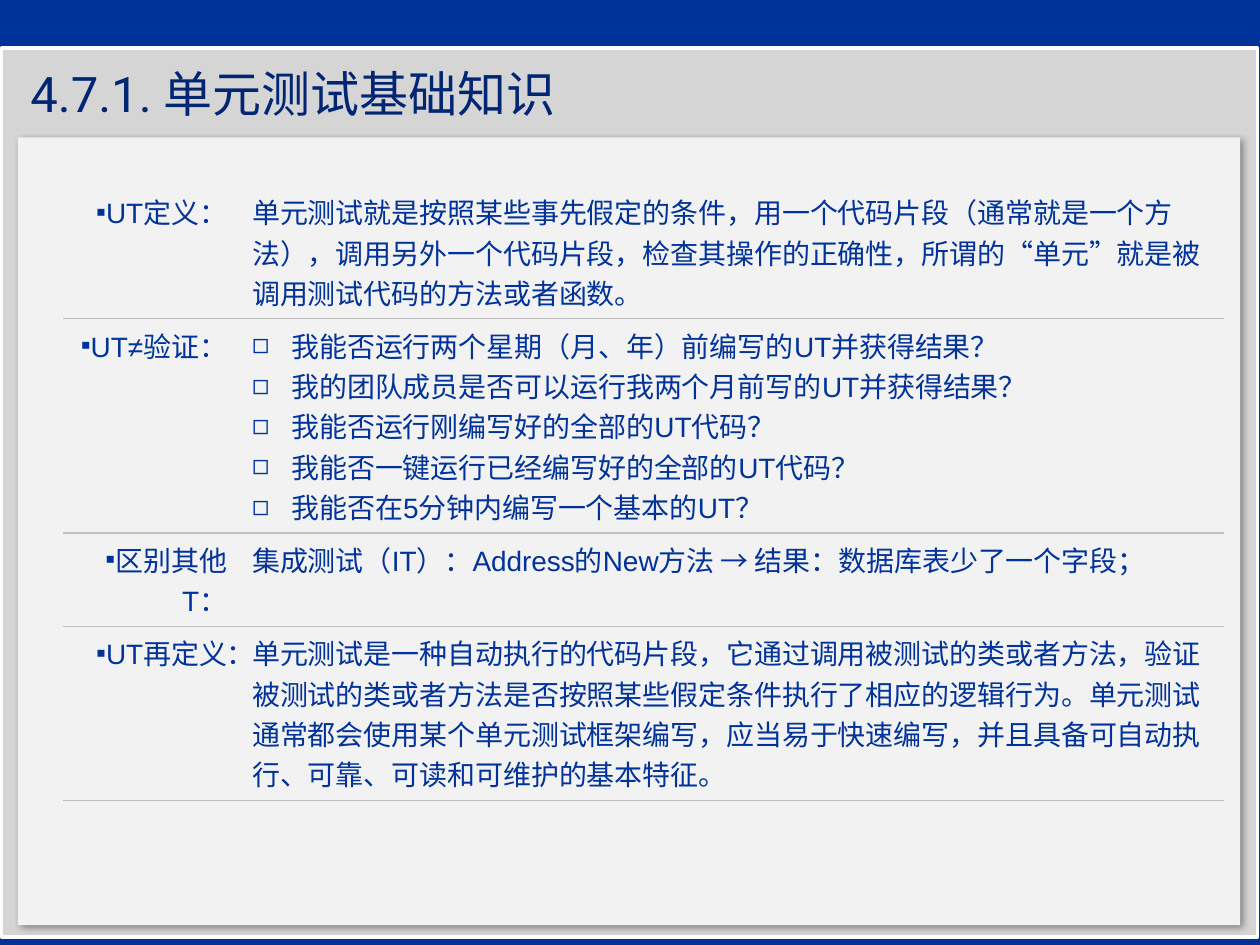
from lxml.etree import SubElement
from pptx import Presentation
from pptx.dml.color import RGBColor
from pptx.enum.shapes import MSO_SHAPE as Shape
from pptx.enum.text import MSO_ANCHOR as Anchor, MSO_AUTO_SIZE as AutoSize, PP_ALIGN as Align
from pptx.oxml import parse_xml
from pptx.oxml.ns import nsdecls, qn
from pptx.util import Cm, Pt

TITLE = "4.7.1. 单元测试基础知识"
TOPICS = [
    ("UT定义：", "单元测试就是按照某些事先假定的条件，用一个代码片段（通常就是一个方法），"
                 "调用另外一个代码片段，检查其操作的正确性，所谓的“单元”就是被调用测试代码的方法或者函数。"),
    ("UT≠验证：", [
        "我能否运行两个星期（月、年）前编写的UT并获得结果？",
        "我的团队成员是否可以运行我两个月前写的UT并获得结果？",
        "我能否运行刚编写好的全部的UT代码？",
        "我能否一键运行已经编写好的全部的UT代码？",
        "我能否在5分钟内编写一个基本的UT？",
    ]),
    ("区别其他T：", "集成测试（IT）：Address的New方法 → 结果：数据库表少了一个字段；"),
    ("UT再定义：", "单元测试是一种自动执行的代码片段，它通过调用被测试的类或者方法，"
                   "验证被测试的类或者方法是否按照某些假定条件执行了相应的逻辑行为。"
                   "单元测试通常都会使用某个单元测试框架编写，应当易于快速编写，"
                   "并且具备可自动执行、可靠、可读和可维护的基本特征。"),
]

THEME = {
    "blue": "003399", "title": "002673", "frame": "D5D5D5", "panel": "F2F2F2",
    "white": "FFFFFF", "rule": "BFBFBF", "shadow": "000000",
    "title_font": "Roboto", "body_font": "Arial",
    "title_size": Pt(28), "body_size": Pt(16), "frame_line": Pt(2), "rule_line": Pt(1),
}
NO_STYLE_TABLE = "{2D5ABB26-0587-4C30-8999-92F81FD0307C}"
COLUMN_WIDTHS = (Cm(3.56), Cm(19.85))
ROW_HEIGHT = Cm(1.04)
LIST_INDENT = Cm(0.79)


def colour(name):
    return RGBColor.from_string(THEME[name])


def add_panel(slide, box, fill):
    panel = slide.shapes.add_shape(Shape.RECTANGLE, *box)
    panel.shadow.inherit = False
    panel.fill.solid()
    panel.fill.fore_color.rgb = colour(fill)
    panel.line.fill.background()
    return panel


def add_shadow(shape):
    effects = shape.element.spPr.find(qn("a:effectLst"))
    effects.append(parse_xml(
        f'<a:outerShdw {nsdecls("a")} blurRad="{Pt(4)}" dist="{Pt(3)}" dir="2700000" '
        f'algn="tl" rotWithShape="0"><a:srgbClr val="{THEME["shadow"]}">'
        '<a:alpha val="40000"/></a:srgbClr></a:outerShdw>'))


def add_text(paragraph, text, font, size, fill):
    run = paragraph.add_run()
    run.text = text
    run.font.name, run.font.size = THEME[font], THEME[size]
    run.font.color.rgb = colour(fill)


def add_bullet(paragraph, symbol, indent=0):
    properties = paragraph._p.get_or_add_pPr()
    properties.set("marL", str(indent))
    properties.set("indent", str(-indent))
    SubElement(properties, qn("a:buFont")).set("typeface", THEME["body_font"])
    SubElement(properties, qn("a:buChar")).set("char", symbol)


def rule_below(cell):
    properties = cell._tc.get_or_add_tcPr()
    properties.insert(0, parse_xml(
        f'<a:lnB {nsdecls("a")} w="{THEME["rule_line"]}"><a:solidFill>'
        f'<a:srgbClr val="{THEME["rule"]}"/></a:solidFill></a:lnB>'))


def fill_cell(cell, lines, bullet=None, indent=0, align=Align.LEFT):
    cell.fill.background()
    rule_below(cell)
    frame = cell.text_frame
    for index, line in enumerate(lines):
        paragraph = frame.add_paragraph() if index else frame.paragraphs[0]
        paragraph.alignment = align
        if bullet:
            add_bullet(paragraph, bullet, indent)
        add_text(paragraph, line, "body_font", "body_size", "blue")


def add_topics(slide):
    frame = slide.shapes.add_table(len(TOPICS), 2, Cm(1.27), Cm(3.73),
                                   sum(COLUMN_WIDTHS), ROW_HEIGHT * len(TOPICS))
    table = frame.table
    table.first_row = table.horz_banding = False
    table._tbl.tblPr.find(qn("a:tableStyleId")).text = NO_STYLE_TABLE
    for column, width in zip(table.columns, COLUMN_WIDTHS):
        column.width = width
    for row, (label, content) in zip(table.rows, TOPICS):
        label_cell, content_cell = row.cells
        fill_cell(label_cell, [label], bullet="▪", align=Align.RIGHT)
        if isinstance(content, list):
            fill_cell(content_cell, content, bullet="◻", indent=LIST_INDENT)
        else:
            fill_cell(content_cell, [content])
    frame.height = Cm(9.93)


def set_title(slide):
    title = slide.shapes.title
    title.left, title.top, title.width, title.height = Cm(0.36), Cm(1.19), Cm(24.61), Cm(1.35)
    title.element.getparent().append(title.element)  # in front of the panels
    frame = title.text_frame
    frame.auto_size = AutoSize.NONE
    frame.vertical_anchor = Anchor.MIDDLE
    frame.paragraphs[0].alignment = Align.LEFT
    add_text(frame.paragraphs[0], TITLE, "title_font", "title_size", "title")


def main():
    presentation = Presentation()
    presentation.slide_width, presentation.slide_height = Cm(25.4), Cm(19.05)
    slide = presentation.slides.add_slide(presentation.slide_layouts[5])
    slide.background.fill.solid()
    slide.background.fill.fore_color.rgb = colour("blue")

    frame = add_panel(slide, (Cm(0.03), Cm(0.97), Cm(25.32), Cm(17.92)), "frame")
    frame.line.color.rgb = colour("white")
    frame.line.width = THEME["frame_line"]
    add_shadow(add_panel(slide, (Cm(0.36), Cm(2.77), Cm(24.64), Cm(15.88)), "panel"))
    set_title(slide)
    add_topics(slide)
    presentation.save("out.pptx")


if __name__ == "__main__":
    main()
